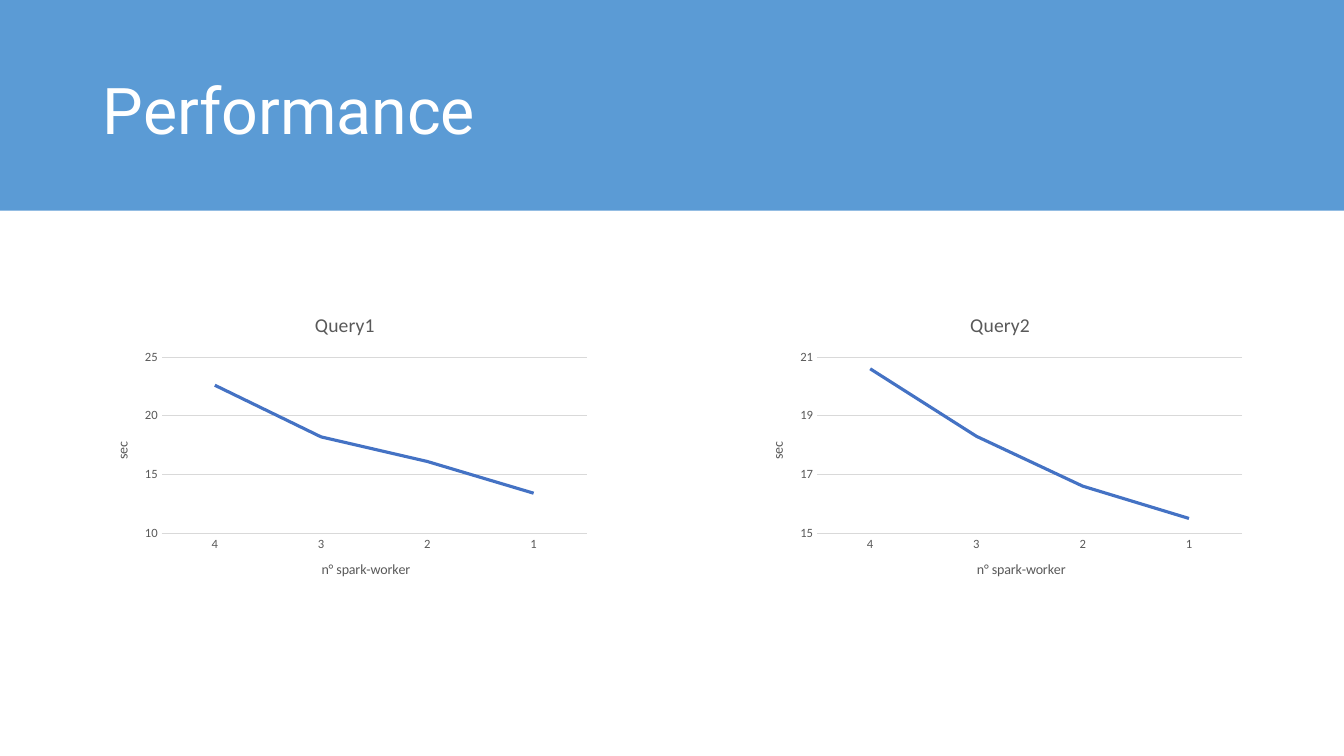
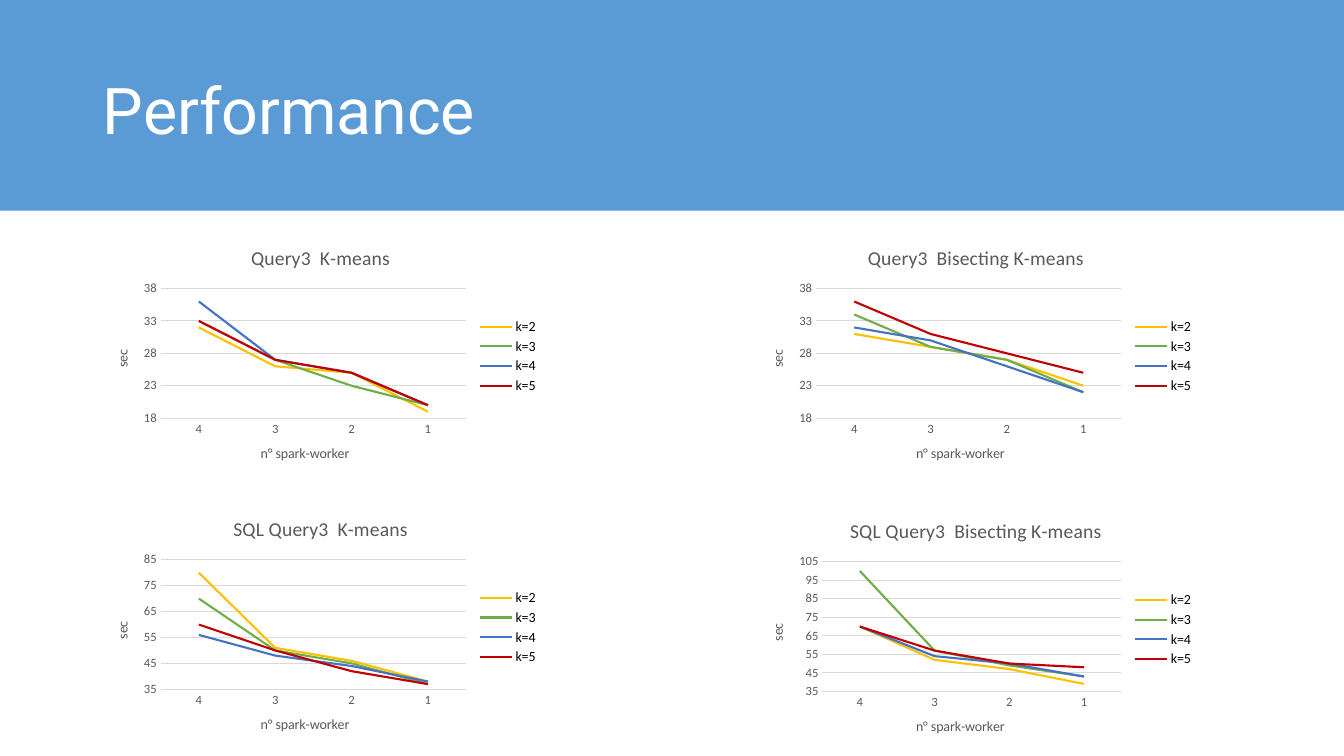
from dataclasses import dataclass
from typing import Any

from pptx import Presentation
from pptx.chart.chart import Chart
from pptx.chart.data import CategoryChartData
from pptx.dml.color import RGBColor
from pptx.enum.chart import XL_CHART_TYPE, XL_LEGEND_POSITION, XL_TICK_MARK
from pptx.enum.shapes import MSO_SHAPE
from pptx.enum.text import MSO_ANCHOR, MSO_AUTO_SIZE, PP_ALIGN
from pptx.slide import Slide
from pptx.util import Inches, Pt

# Shared look
BAND_BLUE, WHITE, BLACK = "5B9BD5", "FFFFFF", "000000"
LABEL_GRAY, GRID_GRAY = "595959", "D9D9D9"
YELLOW, GREEN, BLUE, RED = "FFC000", "70AD47", "4472C4", "C00000"
TITLE_FONT, CHART_FONT = "Roboto", "Calibri"

SLIDE_WIDTH, SLIDE_HEIGHT, BAND_HEIGHT = 13.33, 7.5, 2.09
LEFT_COLUMN, RIGHT_COLUMN = 0.92, 7.42
LARGE_CHART, SMALL_CHART = (5, 3), (4.52, 2.51)
WORKERS = ("4", "3", "2", "1")

TITLE_FRAME_FORMAT = {
    "vertical_anchor": MSO_ANCHOR.MIDDLE,
    "auto_size": MSO_AUTO_SIZE.NONE,
    "word_wrap": True,
}
TITLE_PARAGRAPH_FORMAT = {"alignment": PP_ALIGN.LEFT, "line_spacing": 0.9}
AXIS_FORMAT = {
    "major_tick_mark": XL_TICK_MARK.NONE,
    "minor_tick_mark": XL_TICK_MARK.NONE,
}
LEGEND_FORMAT = {"position": XL_LEGEND_POSITION.RIGHT, "include_in_layout": False}


@dataclass(frozen=True)
class Line:
    name: str
    values: tuple[float, ...]
    color: str


@dataclass(frozen=True)
class LinePanel:
    title: str
    left: float
    top: float
    size: tuple[float, float]
    scale: tuple[int, int, int]  # minimum, maximum, step
    lines: tuple[Line, ...]
    line_width: float
    has_legend: bool


def query_panel(title: str, left: float, scale: tuple[int, int, int],
                values: tuple[float, ...]) -> LinePanel:
    lines = (Line("Series 1", values, BLUE),)
    return LinePanel(title, left, 2.94, LARGE_CHART, scale, lines, 2.25, False)


def cluster_panel(title: str, left: float, top: float, scale: tuple[int, int, int],
                  *rows: tuple[float, ...]) -> LinePanel:
    lines = tuple(
        Line(f"k={count}", values, color)
        for count, (values, color) in enumerate(zip(rows, (YELLOW, GREEN, BLUE, RED)), start=2)
    )
    return LinePanel(title, left, top, SMALL_CHART, scale, lines, 1.5, True)


# Content of the two slides
QUERY_PANELS = (
    query_panel("Query1", LEFT_COLUMN, (10, 25, 5), (22.6, 18.2, 16.1, 13.4)),
    query_panel("Query2", RIGHT_COLUMN, (15, 21, 2), (20.6, 18.3, 16.6, 15.5)),
)
CLUSTER_PANELS = (
    cluster_panel("Query3  K-means", LEFT_COLUMN, 2.28, (18, 38, 5),
                  (32, 26, 25, 19), (33, 27, 23, 20), (36, 27, 25, 20), (33, 27, 25, 20)),
    cluster_panel("Query3  Bisecting K-means", RIGHT_COLUMN, 2.28, (18, 38, 5),
                  (31, 29, 27, 23), (34, 29, 27, 22), (32, 30, 26, 22), (36, 31, 28, 25)),
    cluster_panel("SQL Query3  K-means", LEFT_COLUMN, 4.97, (35, 85, 10),
                  (80, 51, 46, 38), (70, 50, 45, 37), (56, 48, 44, 38), (60, 50, 42, 37)),
    cluster_panel("SQL Query3  Bisecting K-means", RIGHT_COLUMN, 4.99, (35, 105, 10),
                  (70, 52, 47, 39), (100, 57, 49, 43), (70, 54, 50, 43), (70, 57, 50, 48)),
)


# Formatting helpers
def apply_format(target: Any, values: dict[str, Any]) -> None:
    for name, value in values.items():
        setattr(target, name, value)


def set_color(color_format: Any, color: str) -> None:
    color_format.rgb = RGBColor.from_string(color)


def format_font(font: Any, name: str, size: float, color: str) -> None:
    apply_format(font, {"name": name, "size": Pt(size), "bold": False})
    set_color(font.color, color)


def format_line(line: Any, color: str, width: float) -> None:
    line.width = Pt(width)
    line.fill.solid()
    set_color(line.fill.fore_color, color)


def set_chart_text(text_frame: Any, text: str, size: float) -> None:
    text_frame.text = text
    format_font(text_frame.paragraphs[0].runs[0].font, CHART_FONT, size, LABEL_GRAY)


# Slide parts
def draw_header(slide: Slide, text: str) -> None:
    band = slide.shapes.add_shape(
        MSO_SHAPE.RECTANGLE, 0, 0, Inches(SLIDE_WIDTH), Inches(BAND_HEIGHT))
    band.shadow.inherit = False
    band.fill.solid()
    set_color(band.fill.fore_color, BAND_BLUE)
    band.line.fill.background()

    title = slide.shapes.title
    title.element.addprevious(band.element)  # keeps the band behind the title
    apply_format(title, {"left": Inches(LEFT_COLUMN), "top": Inches(0.4),
                         "width": Inches(11.5), "height": Inches(1.45)})
    title.text_frame.text = text
    apply_format(title.text_frame, TITLE_FRAME_FORMAT)
    paragraph = title.text_frame.paragraphs[0]
    apply_format(paragraph, TITLE_PARAGRAPH_FORMAT)
    format_font(paragraph.runs[0].font, TITLE_FONT, 46, WHITE)


def format_axes(chart: Chart, scale: tuple[int, int, int]) -> None:
    category_axis, value_axis = chart.category_axis, chart.value_axis
    for axis, text in ((category_axis, "n° spark-worker"), (value_axis, "sec")):
        apply_format(axis, AXIS_FORMAT)
        format_font(axis.tick_labels.font, CHART_FONT, 9, LABEL_GRAY)
        set_chart_text(axis.axis_title.text_frame, text, 10)
    format_line(category_axis.format.line, GRID_GRAY, 0.75)

    minimum, maximum, step = scale
    apply_format(value_axis, {"minimum_scale": minimum, "maximum_scale": maximum,
                              "major_unit": step, "has_major_gridlines": True})
    apply_format(value_axis.tick_labels,
                 {"number_format": "0", "number_format_is_linked": False})
    value_axis.format.line.fill.background()
    format_line(value_axis.major_gridlines.format.line, GRID_GRAY, 0.75)
    for body in chart.element.xpath(".//c:valAx/c:title//a:bodyPr"):
        body.set("rot", "-5400000")
        body.set("vert", "horz")


def draw_panel(slide: Slide, panel: LinePanel) -> None:
    data = CategoryChartData()
    data.categories = WORKERS
    for line in panel.lines:
        data.add_series(line.name, line.values)
    width, height = panel.size
    chart = slide.shapes.add_chart(
        XL_CHART_TYPE.LINE, Inches(panel.left), Inches(panel.top),
        Inches(width), Inches(height), data).chart

    format_font(chart.font, CHART_FONT, 10, BLACK)
    apply_format(chart, {"has_title": True, "has_legend": panel.has_legend})
    set_chart_text(chart.chart_title.text_frame, panel.title, 14)
    chart.chart_title.include_in_layout = False
    if panel.has_legend:
        apply_format(chart.legend, LEGEND_FORMAT)
    format_axes(chart, panel.scale)

    plot = chart.plots[0]
    plot.vary_by_categories = False
    for series, line in zip(plot.series, panel.lines):
        series.smooth = False
        format_line(series.format.line, line.color, panel.line_width)


# Build the presentation
presentation = Presentation()
apply_format(presentation, {"slide_width": Inches(SLIDE_WIDTH),
                            "slide_height": Inches(SLIDE_HEIGHT)})
title_only = presentation.slide_layouts.get_by_name("Title Only")
for panels in (QUERY_PANELS, CLUSTER_PANELS):
    slide = presentation.slides.add_slide(title_only)
    draw_header(slide, "Performance")
    for panel in panels:
        draw_panel(slide, panel)
presentation.save("out.pptx")
